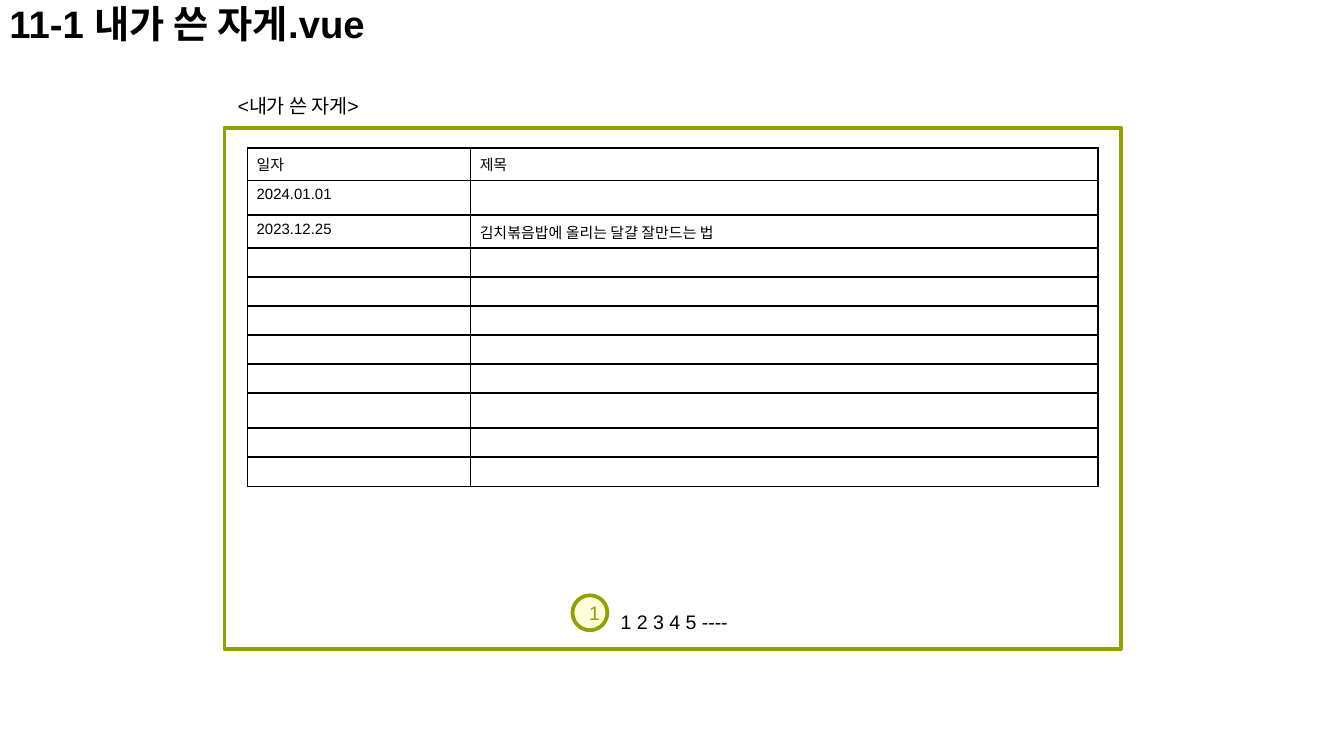
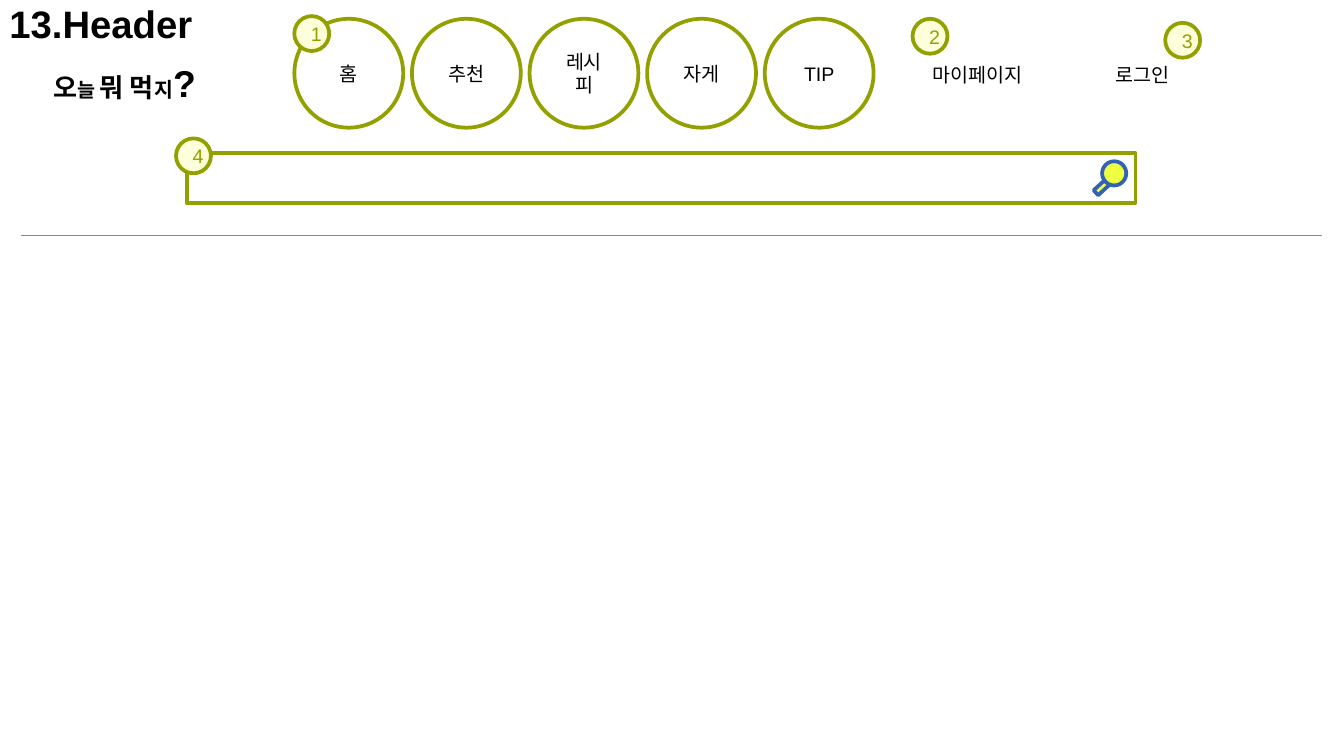
from pptx import Presentation
from pptx.dml.color import RGBColor
from pptx.enum.shapes import MSO_CONNECTOR, MSO_SHAPE
from pptx.enum.text import MSO_ANCHOR, MSO_AUTO_SIZE, PP_ALIGN
from pptx.oxml.ns import qn
from pptx.util import Pt
from lxml.etree import SubElement

PX = 9144  # EMU per px, 100 px to the inch
FONT = "Arial"
BODY, CELL, TITLE = 10.5, 8, 20.5
BLACK = RGBColor(0x00, 0x00, 0x00)
OLIVE = RGBColor(0x92, 0xA0, 0x00)
CREAM = RGBColor(0xFC, 0xFF, 0xD9)
YELLOW = RGBColor(0xEE, 0xFF, 0x41)
BLUE = RGBColor(0x31, 0x62, 0xB5)

POSTS_TITLE = "11-1 내가 쓴 자게.vue"
POSTS_LABEL = ("<내가 쓴 자게>", 167, 65, 119)
PAGER = ("1 2 3 4 5 ----", 452, 449, 101)
POSTS = [
    ("일자", "제목"),
    ("2024.01.01", ""),
    ("2023.12.25", "김치볶음밥에 올리는 달걀 잘만드는 법"),
] + [("", "")] * 8
COL_WIDTHS = (166, 467)
ROW_HEIGHT, TALL_ROW, TALL_ROWS = 21, 26, (1, 8)

HEADER_TITLE = "13.Header"
MENU = ["홈", "추천", "레시피", "자게", "TIP"]
MENU_LEFT, MENU_TOP, MENU_SIZE, MENU_STEP = 219, 14, 81, 87.5
LINKS = [("마이페이지", 684, 42, 94), ("로그인", 820, 42, 64)]
HEADER_BADGES = [("1", 219, 12), ("2", 679, 14), ("3", 867, 17), ("4", 131, 103)]
SERVICE_NAME = [("오", 14), ("늘 ", BODY), ("뭐 먹", 14), ("지", 11), ("?", 20)]


def emu(*lengths):
    return [round(v * PX) for v in lengths]


def add_run(p, text, size=BODY, color=BLACK, bold=False):
    r = p.add_run()
    r.text = text
    r.font.name, r.font.size, r.font.bold = FONT, Pt(size), bold
    r.font.color.rgb = color


def add_titled_slide(prs, title):
    s = prs.slides.add_slide(prs.slide_layouts[5])
    sp = s.shapes.title
    sp.left, sp.top, sp.width, sp.height = emu(0, 0, 631, 44)
    tf = sp.text_frame
    tf.margin_left = tf.margin_right = tf.margin_top = tf.margin_bottom = 7 * PX
    tf.vertical_anchor = MSO_ANCHOR.TOP
    tf.auto_size, tf.word_wrap = MSO_AUTO_SIZE.NONE, True
    p = tf.paragraphs[0]
    p.alignment, p.line_spacing = PP_ALIGN.LEFT, 0.8
    add_run(p, title, TITLE, bold=True)
    return s


def add_shape(s, kind, x, y, w, h, fill=None, line=OLIVE, text="", color=BLACK):
    sp = s.shapes.add_shape(kind, *emu(x, y, w, h))
    sp.shadow.inherit = False
    if fill is None:
        sp.fill.background()
    else:
        sp.fill.solid()
        sp.fill.fore_color.rgb = fill
    sp.line.color.rgb, sp.line.width = line, Pt(2)
    if text:
        tf = sp.text_frame
        tf.word_wrap, tf.vertical_anchor = True, MSO_ANCHOR.MIDDLE
        p = tf.paragraphs[0]
        p.alignment = PP_ALIGN.CENTER
        add_run(p, text, color=color)
    return sp


def add_badge(s, number, x, y):
    add_shape(s, MSO_SHAPE.OVAL, x, y, 26, 26, CREAM, text=number, color=OLIVE)


def add_label(s, text, x, y, w):
    tf = s.shapes.add_textbox(*emu(x, y, w, 28)).text_frame
    tf.word_wrap, tf.auto_size = False, MSO_AUTO_SIZE.SHAPE_TO_FIT_TEXT
    add_run(tf.paragraphs[0], text)


def format_cell(cell, text):
    cell.margin_left = cell.margin_right = 7 * PX
    cell.margin_top = cell.margin_bottom = 4 * PX
    p = cell.text_frame.paragraphs[0]
    if text:
        add_run(p, text, CELL)
    else:  # keeps an empty row as low as a row of small text
        SubElement(p._p, qn("a:endParaRPr"), sz=str(CELL * 100))
    tc_pr = cell._tc.get_or_add_tcPr()
    for side in ("lnL", "lnR", "lnT", "lnB"):
        ln = SubElement(tc_pr, qn("a:" + side), w=str(Pt(1)))
        SubElement(SubElement(ln, qn("a:solidFill")), qn("a:srgbClr"), val=str(BLACK))
    cell.fill.background()


def add_posts_table(s, x, y):
    heights = [TALL_ROW if i in TALL_ROWS else ROW_HEIGHT for i in range(len(POSTS))]
    frame = s.shapes.add_table(len(POSTS), len(COL_WIDTHS),
                               *emu(x, y, sum(COL_WIDTHS), sum(heights)))
    table = frame.table
    table.first_row = table.horz_banding = False
    for col, width in zip(table.columns, COL_WIDTHS):
        col.width = width * PX
    for row, height, texts in zip(table.rows, heights, POSTS):
        row.height = height * PX
        for cell, text in zip(row.cells, texts):
            format_cell(cell, text)


def add_divider(s, x1, x2, y):
    line = s.shapes.add_connector(MSO_CONNECTOR.STRAIGHT, *emu(x1, y, x2, y))
    line.line.color.rgb, line.line.width = OLIVE, Pt(0.75)
    SubElement(line._element.spPr, qn("a:effectLst"))


def build_posts(prs):
    s = add_titled_slide(prs, POSTS_TITLE)
    add_posts_table(s, 184, 110)
    add_label(s, *POSTS_LABEL)
    add_shape(s, MSO_SHAPE.RECTANGLE, 167, 95, 667, 388)
    add_label(s, *PAGER)
    add_badge(s, "1", 426, 443)


def build_header(prs):
    s = add_titled_slide(prs, HEADER_TITLE)
    for i, text in enumerate(MENU):
        add_shape(s, MSO_SHAPE.OVAL, MENU_LEFT + i * MENU_STEP, MENU_TOP,
                  MENU_SIZE, MENU_SIZE, text=text)
    for link in LINKS:
        add_label(s, *link)
    add_divider(s, 16, 984, 175)
    add_shape(s, MSO_SHAPE.RECTANGLE, 139, 114, 706, 37)
    handle = add_shape(s, MSO_SHAPE.RECTANGLE, 821, 125, 5, 22, YELLOW, BLUE)
    handle.rotation = 47.5
    add_shape(s, MSO_SHAPE.OVAL, 820, 120, 18, 18, YELLOW, BLUE)
    for badge in HEADER_BADGES:
        add_badge(s, *badge)
    tf = s.shapes.add_textbox(*emu(30, 40, 174, 44)).text_frame
    tf.word_wrap, tf.auto_size = True, MSO_AUTO_SIZE.SHAPE_TO_FIT_TEXT
    for text, size in SERVICE_NAME:
        add_run(tf.paragraphs[0], text, size, bold=True)


def main():
    prs = Presentation()
    prs.slide_width, prs.slide_height = emu(1000, 562.5)
    build_posts(prs)
    build_header(prs)
    prs.save("out.pptx")


if __name__ == "__main__":
    main()
